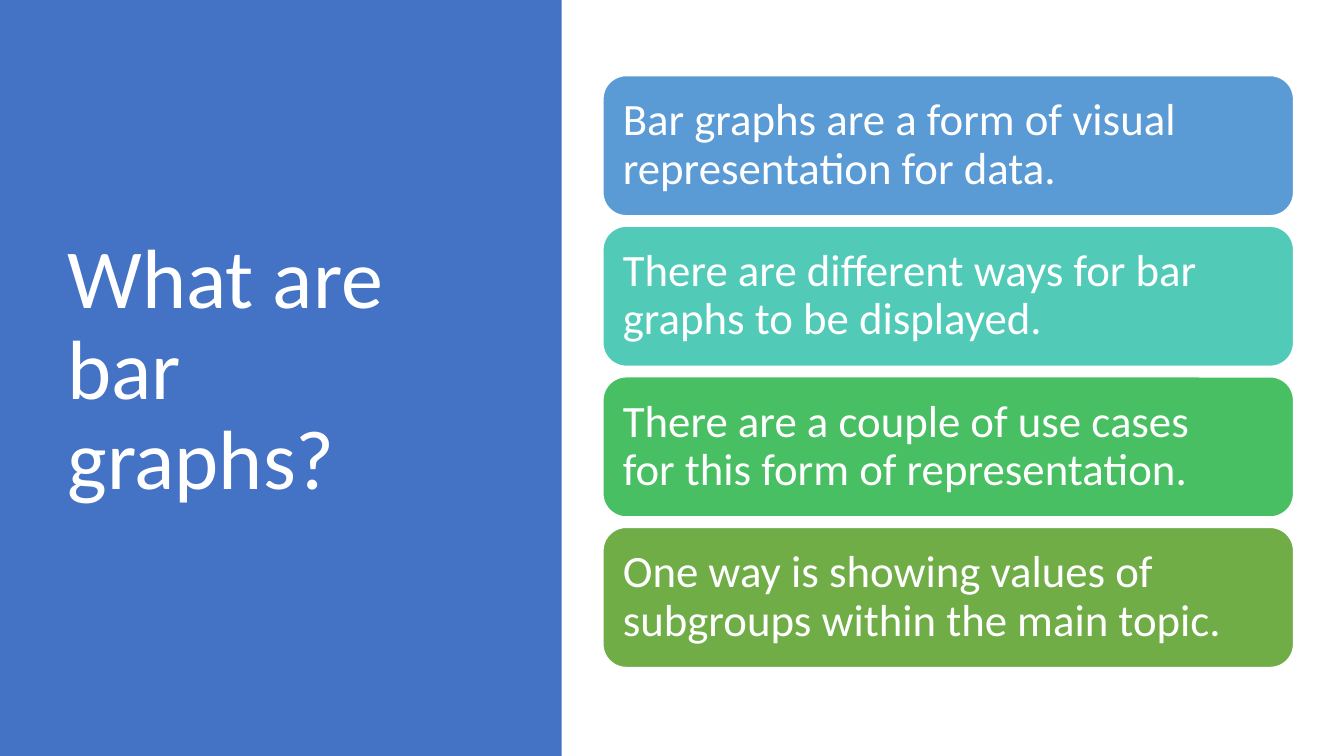
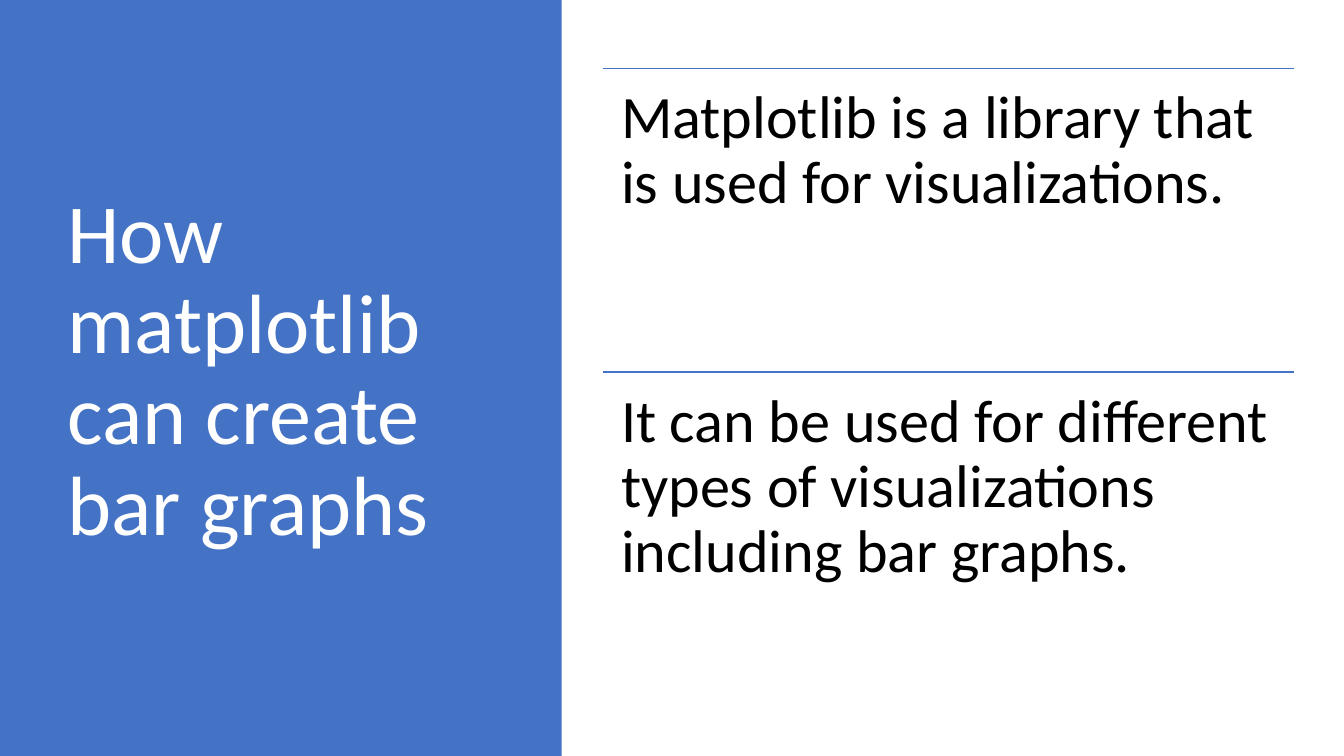
from pptx import Presentation
from pptx.dml.color import RGBColor
from pptx.enum import shapes, text
from pptx.oxml.ns import qn
from pptx.util import Inches, Pt
from lxml import etree

BLUE = RGBColor(0x44, 0x72, 0xC4)
SKY = RGBColor(0x5B, 0x9B, 0xD5)
TEAL = RGBColor(0x52, 0xCA, 0xB8)
GREEN = RGBColor(0x49, 0xBF, 0x64)
OLIVE = RGBColor(0x70, 0xAD, 0x47)
WHITE = RGBColor(0xFF, 0xFF, 0xFF)
BLACK = RGBColor(0, 0, 0)

FONT = "Calibri"
LEFT, WIDTH = 5.98, 6.85
TOP, HEIGHT = 0.68, 6.02

deck = Presentation()
deck.slide_width, deck.slide_height = Inches(13.33), Inches(7.5)


def write(box, words, size, color, inset, anchor):
    """Fill a box with one left-aligned paragraph."""
    frame = box.text_frame
    frame.text = words
    margins = {f"margin_{side}": Inches(inset) for side in ("left", "top", "right", "bottom")}
    settings = {"word_wrap": True, "auto_size": text.MSO_AUTO_SIZE.NONE,
                "vertical_anchor": anchor, **margins}
    for name, value in settings.items():
        setattr(frame, name, value)
    para = frame.paragraphs[0]
    para.alignment = text.PP_ALIGN.LEFT
    para.line_spacing = 0.9
    font = para.runs[0].font
    font.name, font.size = FONT, Pt(size)
    font.color.rgb = color


def add_page(heading):
    """Add a slide with the blue side band and its title."""
    page = deck.slides.add_slide(deck.slide_layouts[5])
    band = page.shapes.add_shape(shapes.MSO_SHAPE.RECTANGLE, 0, 0, Inches(5.57), deck.slide_height)
    band.shadow.inherit = False
    band.fill.solid()
    band.fill.fore_color.rgb = BLUE
    band.line.fill.background()
    title = page.shapes.title
    place = {"left": 0.57, "top": TOP, "width": 4.16, "height": HEIGHT}
    for name, value in place.items():
        setattr(title, name, Inches(value))
    write(title, heading, 60, WHITE, 0.1, text.MSO_ANCHOR.MIDDLE)
    band._element.addnext(title._element)  # title in front of the band
    return page


# Slide 1: four stacked cards
page = add_page("What are bar graphs?")
cards = [
    (SKY, "Bar graphs are a form of visual representation for data."),
    (TEAL, "There are different ways\u00a0for bar graphs to be displayed."),
    (GREEN, "There are a couple of use cases for\u00a0this form of representation."),
    (OLIVE, "One way\u00a0is\u00a0showing values of subgroups within the\u00a0main topic."),
]
card_top, card_height, card_pitch = 0.75, 1.39, 1.494
for row, (color, words) in enumerate(cards):
    card = page.shapes.add_shape(
        shapes.MSO_SHAPE.ROUNDED_RECTANGLE, Inches(LEFT), Inches(card_top + row * card_pitch),
        Inches(WIDTH), Inches(card_height))
    card.shadow.inherit = False
    card.fill.solid()
    card.fill.fore_color.rgb = color
    card.line.color.rgb = WHITE
    card.line.width = Pt(1)
    write(card, words, 32, WHITE, 0.13, text.MSO_ANCHOR.MIDDLE)

# Slide 2: two statements, each under a rule
page = add_page("How matplotlib can create bar graphs")
statements = [
    "Matplotlib is a library\u00a0that is used for visualizations.",
    "It can\u00a0be used for different types\u00a0of visualizations including\u00a0bar graphs.",
]
row_height = HEIGHT / len(statements)
for row, words in enumerate(statements):
    top = Inches(TOP + row * row_height)
    rule = page.shapes.add_connector(
        shapes.MSO_CONNECTOR.STRAIGHT, Inches(LEFT), top, Inches(LEFT + WIDTH), top)
    rule.line.color.rgb = BLUE
    rule.line.width = Pt(1)
    etree.SubElement(rule._element.spPr, qn("a:effectLst"))
    box = page.shapes.add_textbox(Inches(LEFT), top, Inches(WIDTH), Inches(row_height))
    write(box, words, 43, BLACK, 0.18, text.MSO_ANCHOR.TOP)

deck.save("out.pptx")
